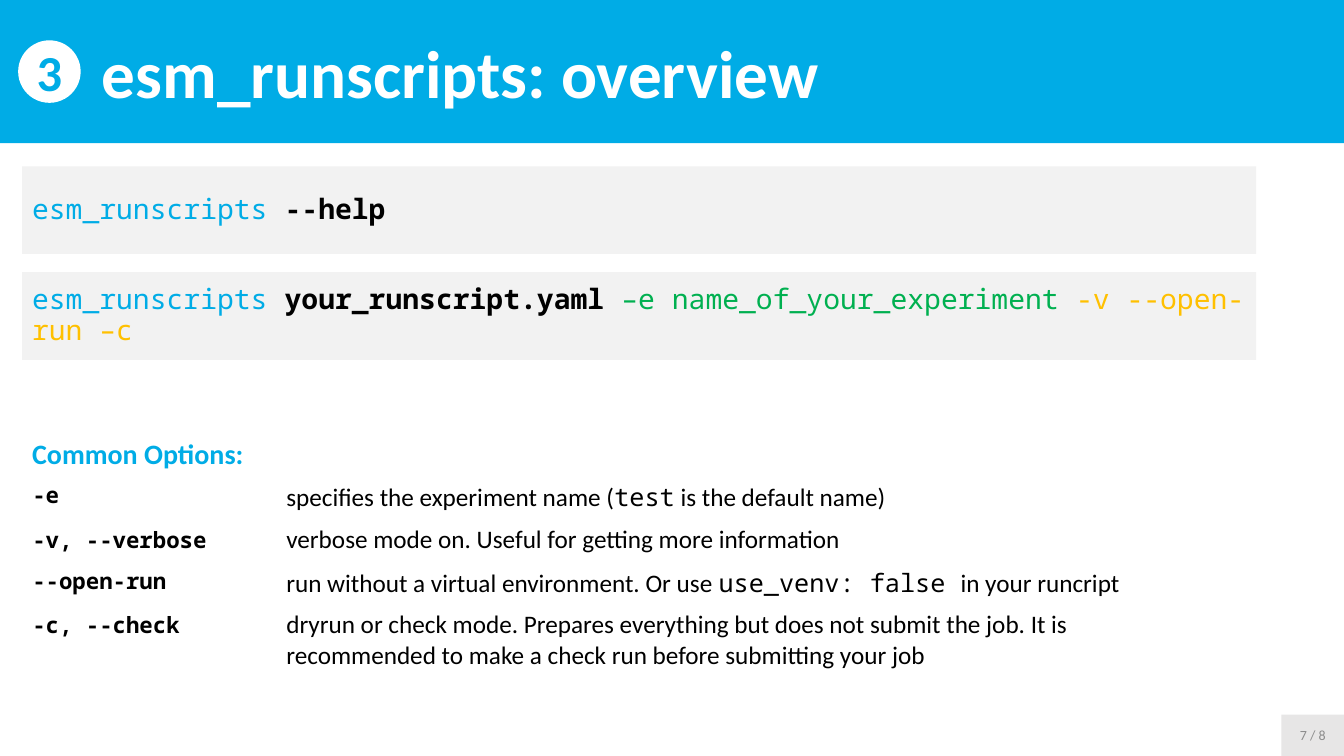
import pptx
import pptx.util
import pptx.dml.color
import pptx.enum.shapes
import pptx.enum.text
from dataclasses import dataclass

Inches = pptx.util.Inches
SHAPES = pptx.enum.shapes.MSO_SHAPE
ALIGN = pptx.enum.text.PP_ALIGN
ANCHOR = pptx.enum.text.MSO_ANCHOR


@dataclass(frozen=True)
class Theme:
    sans: str = "Calibri"
    mono: str = "Noto Sans Mono"
    blue: str = "00ACE6"
    white: str = "FFFFFF"
    black: str = "000000"
    panel: str = "F2F2F2"
    green: str = "00B050"
    amber: str = "FFC000"
    page_fill: str = "E7E6E6"
    page_text: str = "8C8C8C"
    title: int = 48
    badge: int = 36
    code: int = 20
    body: int = 18
    flag: int = 16
    page: int = 10


T = Theme()


def rgb(value):
    return pptx.dml.color.RGBColor.from_string(value)


# Text helpers: a run is (text, font, size, colour, bold)
def write(tf, runs, align=ALIGN.LEFT, spacing=1.0):
    p = tf.paragraphs[0]
    p.alignment, p.line_spacing = align, spacing
    for text, font, size, color, bold in runs:
        r = p.add_run()
        r.text = text
        values = {"name": font, "size": pptx.util.Pt(size), "bold": bold}
        for name, value in values.items():
            setattr(r.font, name, value)
        r.font.color.rgb = rgb(color)


def format_frame(tf, **values):
    defaults = {"word_wrap": True, "vertical_anchor": ANCHOR.MIDDLE,
                "auto_size": pptx.enum.text.MSO_AUTO_SIZE.NONE}
    for name, value in {**defaults, **values}.items():
        setattr(tf, name, value)


def fill(sp, color):
    sp.fill.solid()
    sp.fill.fore_color.rgb = rgb(color)


def panel(s, box, color, runs, kind=SHAPES.RECTANGLE, align=ALIGN.LEFT,
          spacing=1.0, **frame):
    sp = s.shapes.add_shape(kind, *map(Inches, box))
    sp.shadow.inherit = False
    fill(sp, color)
    sp.line.fill.background()
    format_frame(sp.text_frame, **frame)
    write(sp.text_frame, runs, align, spacing)


# Banner with the section number and the title
def banner(s, box, number, title):
    left, top, width, height = box
    sp = s.shapes.title
    for name, value in zip(("left", "top", "width", "height"), box):
        setattr(sp, name, Inches(value))
    fill(sp, T.blue)
    format_frame(sp.text_frame, margin_left=Inches(1.01))
    write(sp.text_frame, [(title, T.sans, T.title, T.white, True)])
    size = 0.62
    panel(s, (left + 0.18, top + (height - size) / 2, size, size), T.white,
          [(number, T.sans, T.badge, T.blue, True)], SHAPES.OVAL, ALIGN.CENTER,
          word_wrap=False, margin_left=0, margin_right=0)


# Command panels stacked at an equal pitch
def commands(s, box, lines, gap=0.18):
    left, top, width, height = box
    panel_height = (height - gap * (len(lines) - 1)) / len(lines)
    for i, parts in enumerate(lines):
        runs = [(text, T.mono, T.code, color, bold) for text, color, bold in parts]
        panel(s, (left, top + i * (panel_height + gap), width, panel_height),
              T.panel, runs, spacing=0.9)


# Options heading and table
def options(s, box, heading, rows, flag_width=2.52, row_height=0.41):
    left, top, width, height = box
    heading_height = 0.43
    sp = s.shapes.add_textbox(*map(Inches, (left, top, 2.32, heading_height)))
    format_frame(sp.text_frame, word_wrap=False, vertical_anchor=ANCHOR.TOP)
    write(sp.text_frame, [(heading, T.sans, T.code, T.blue, True)])

    table = s.shapes.add_table(
        len(rows), 2, *map(Inches, (left, top + heading_height, width,
                                    height - heading_height))).table
    table.first_row = table.horz_banding = False
    for column, w in zip(table.columns, (flag_width, width - flag_width)):
        column.width = Inches(w)
    for i, (flag, description) in enumerate(rows):
        table.rows[i].height = Inches(row_height)
        cells = ([(flag, T.mono, T.flag, T.black, True)],
                 [(text, font, T.body, T.black, False) for text, font in description])
        for j, runs in enumerate(cells):
            cell = table.cell(i, j)
            cell.fill.background()
            write(cell.text_frame, runs)


def page_number(s, box, text):
    panel(s, box, T.page_fill, [(text, T.sans, T.page, T.page_text, False)],
          align=ALIGN.CENTER)


prs = pptx.Presentation()
prs.slide_width, prs.slide_height = Inches(13.33), Inches(7.5)
s = prs.slides.add_slide(prs.slide_layouts[5])

banner(s, (0, 0, 13.33, 1.42), "3", "esm_runscripts: overview")

program = ("esm_runscripts ", T.blue, False)
commands(s, (0.22, 1.65, 12.24, 1.92), [
    [program, ("--help", T.black, True)],
    [program, ("your_runscript.yaml ", T.black, True),
     ("–e name_of_your_experiment ", T.green, False),
     ("-v --open-run –c", T.amber, False)],
])

options(s, (0.22, 4.28, 11.03, 2.07), "Common Options:", [
    ("-e", [("specifies the experiment name (", T.sans), ("test", T.mono),
            (" is the default name)", T.sans)]),
    ("-v, --verbose",
     [("verbose mode on. Useful for getting more information", T.sans)]),
    ("--open-run",
     [("run without a virtual environment. Or use ", T.sans),
      ("use_venv: false ", T.mono), ("in your runcript", T.sans)]),
    ("-c, --check",
     [("dryrun or check mode. Prepares everything but does not submit the job. "
       "It is recommended to make a check run before submitting your job", T.sans)]),
])

page_number(s, (12.71, 7.09, 0.62, 0.41), "7 / 8")

prs.save("out.pptx")
